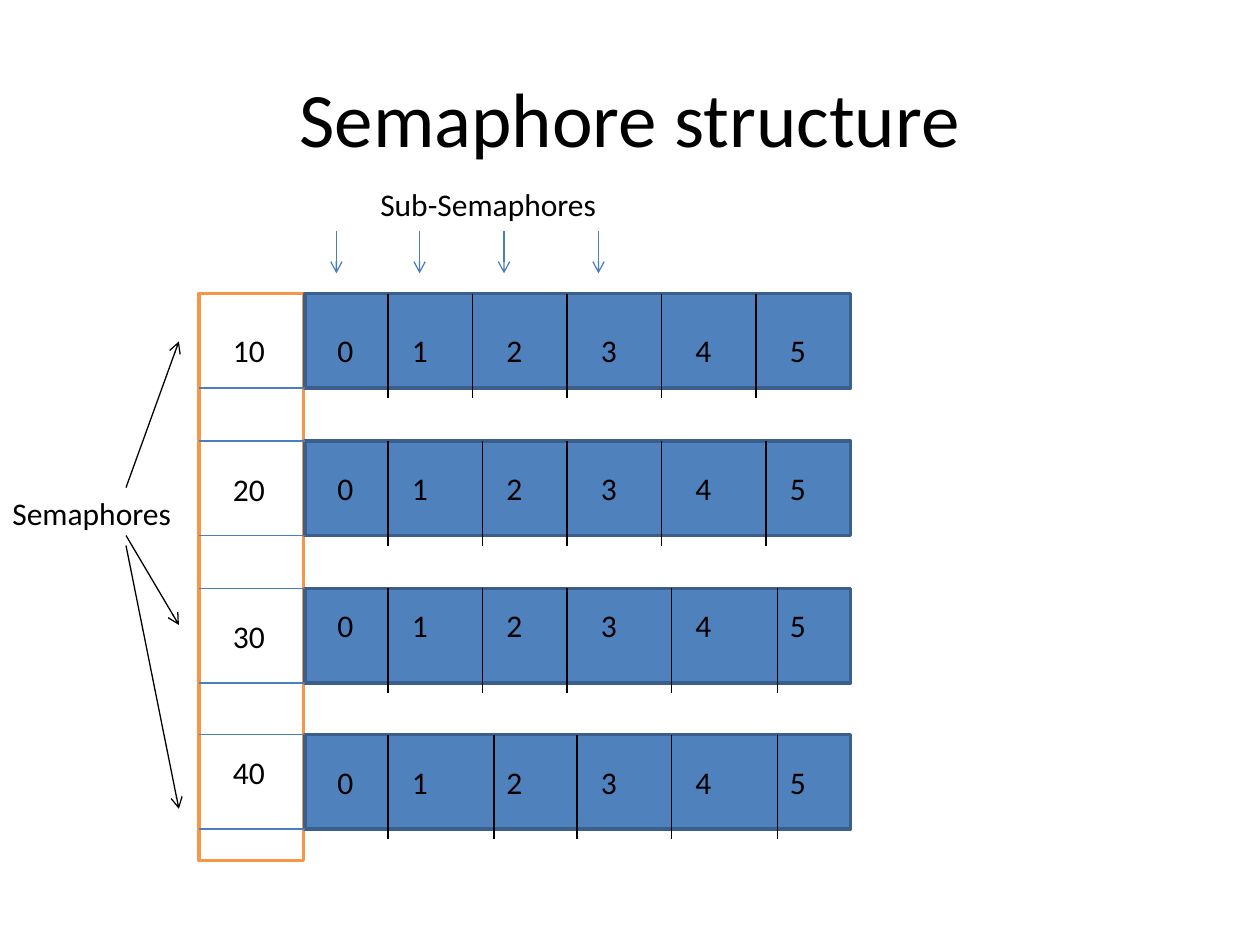
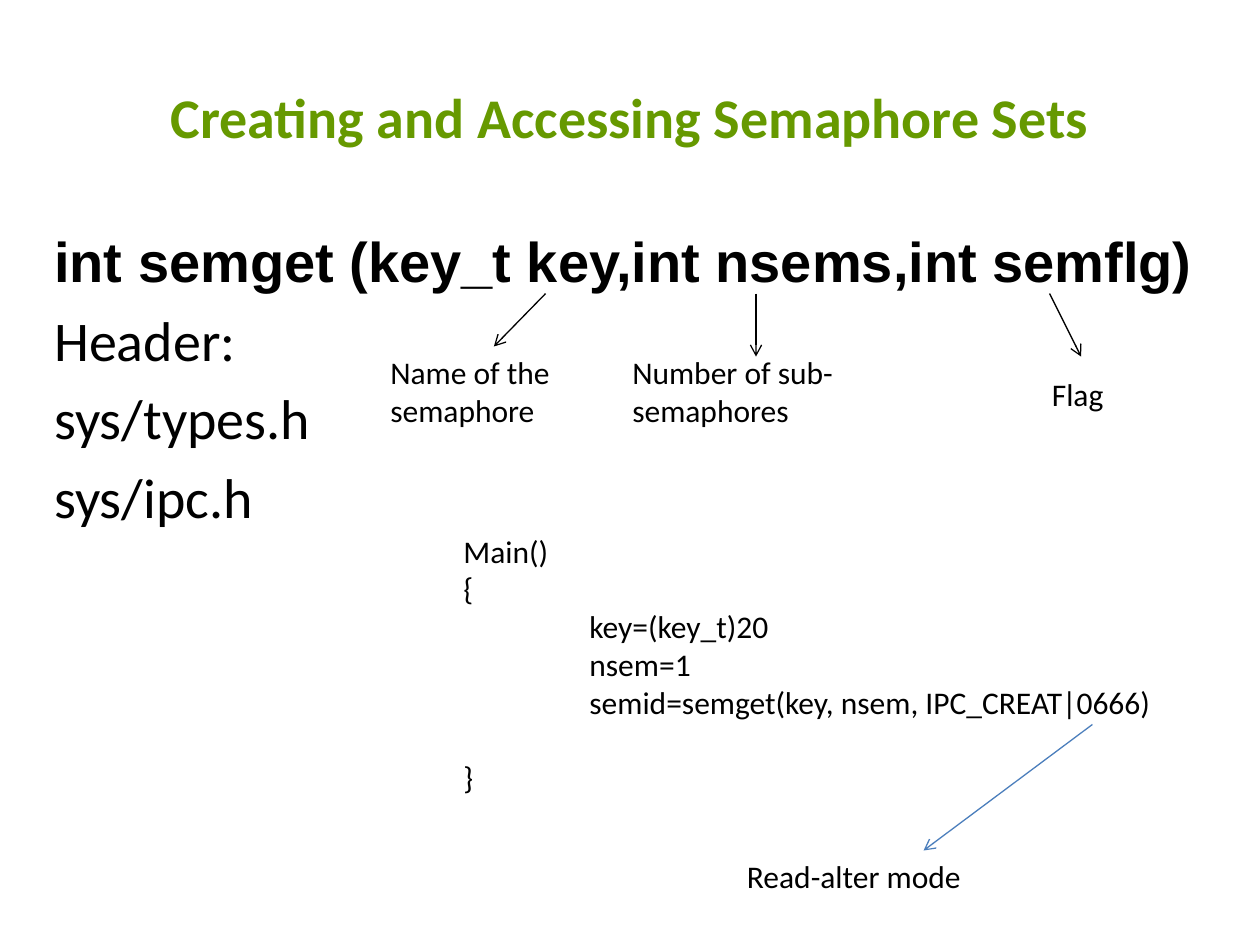
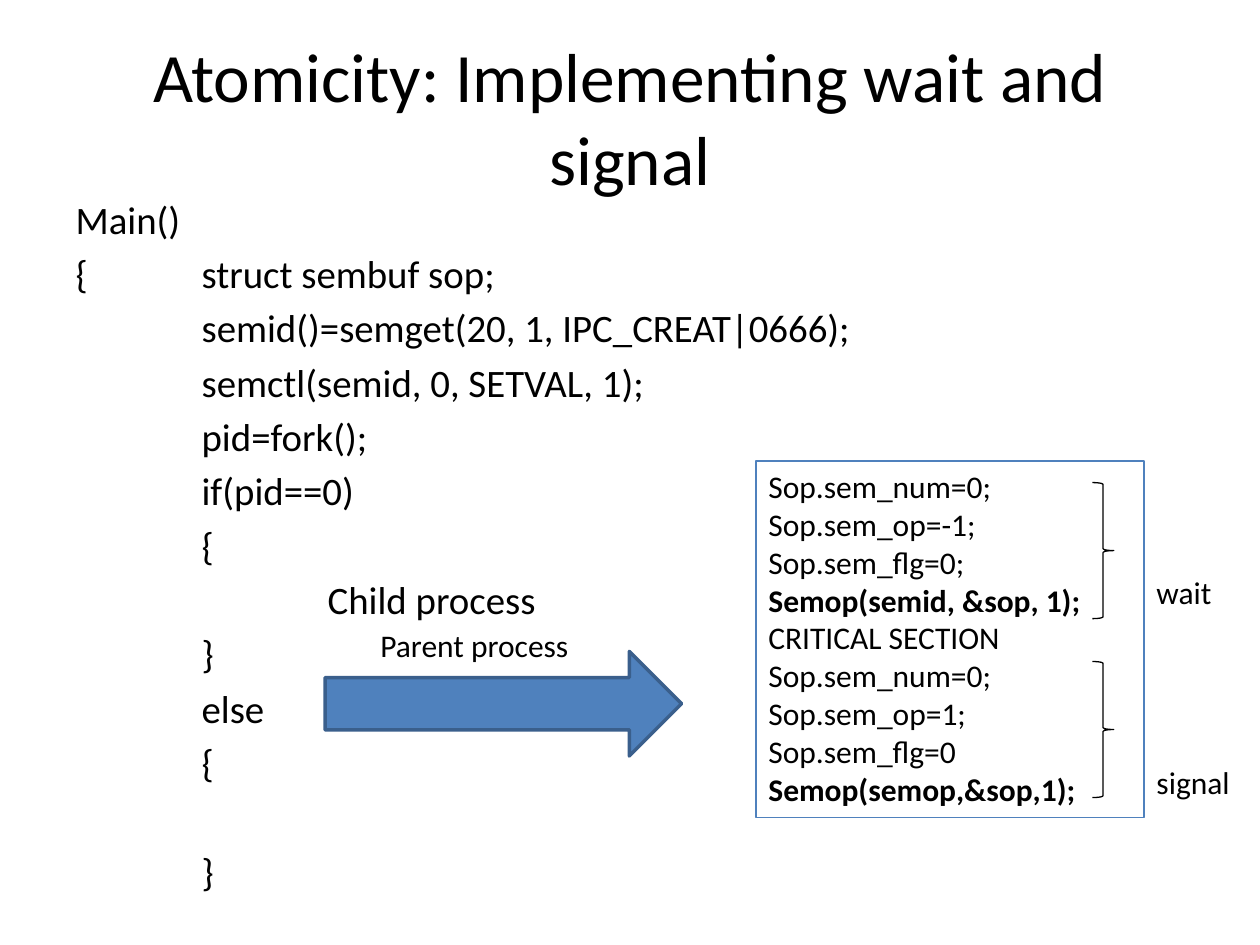
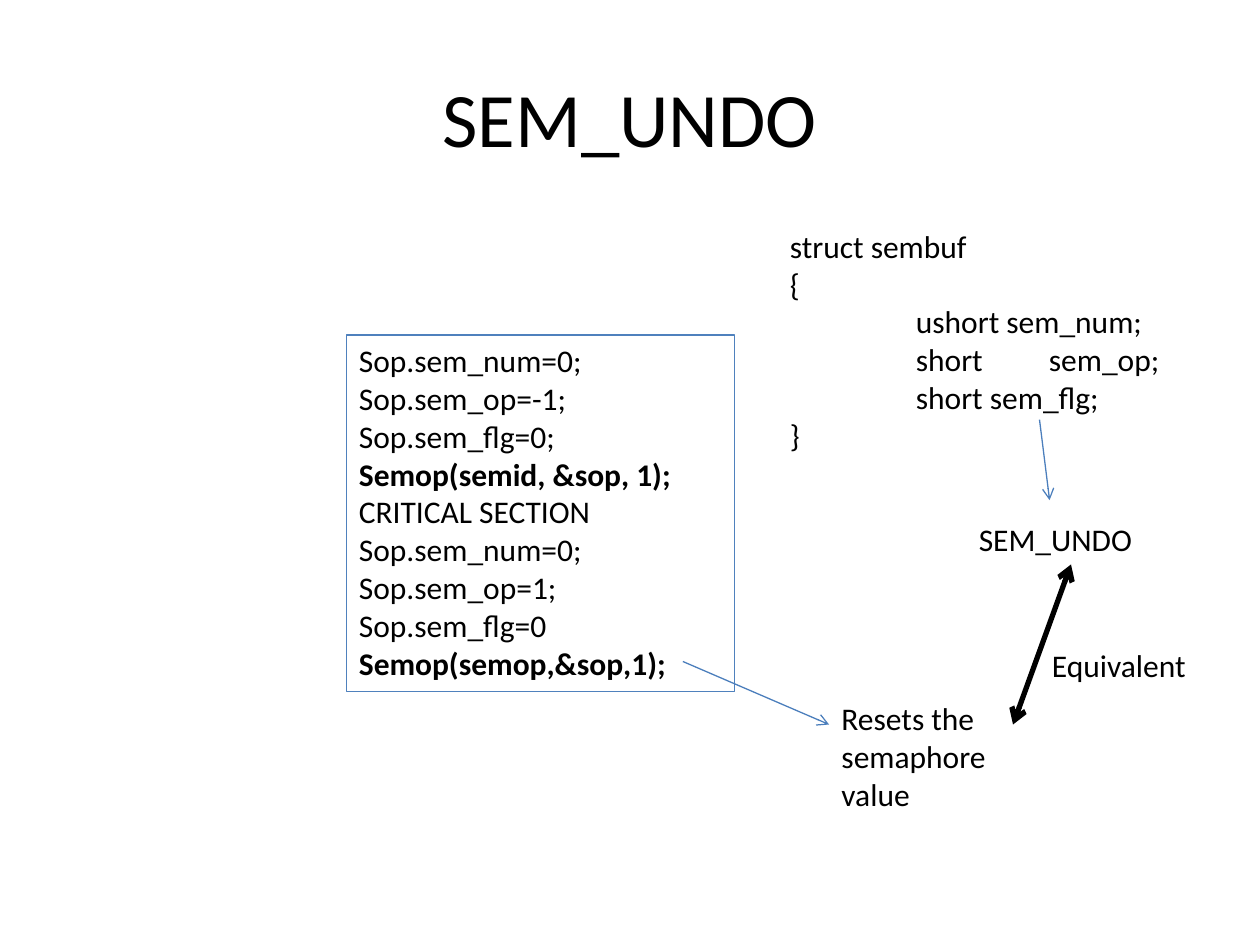
from lxml import etree
from pptx import Presentation
from pptx import util as u
from pptx.dml import color
from pptx.enum import shapes, text
from pptx.oxml import ns

BLACK, BLUE, DARK_BLUE = "000000", "4F81BD", "3A5F8C"
LINE_BLUE, ORANGE, GREEN, WHITE = "4B7EBC", "F79646", "669900", "FFFFFF"
FONT = "Calibri"
TAB_WIDTH = str(u.Inches(1))
rgb = color.RGBColor.from_string


def add_text(slide, left, top, width, height, lines, bold=()):
    box = slide.shapes.add_textbox(u.Inches(left), u.Inches(top), u.Inches(width), u.Inches(height))
    frame = box.text_frame
    frame.word_wrap = True
    frame.text = lines
    for paragraph in frame.paragraphs:
        paragraph.font.name = FONT
        paragraph.font.size = u.Pt(18)
        paragraph.font.color.rgb = rgb(BLACK)
        paragraph.font.bold = paragraph.text in bold
        paragraph._p.get_or_add_pPr().set("defTabSz", TAB_WIDTH)
    return box


def add_line(slide, start, end, line_color=BLACK, width=0.75, ends=()):
    line = slide.shapes.add_connector(
        shapes.MSO_CONNECTOR.STRAIGHT, *(u.Inches(value) for value in (*start, *end)))
    line.line.color.rgb = rgb(line_color)
    line.line.width = u.Pt(width)
    properties = line._element.spPr
    for end_name in ends:
        etree.SubElement(properties.find(ns.qn("a:ln")), ns.qn(f"a:{end_name}"), type="arrow")
    etree.SubElement(properties, ns.qn("a:effectLst"))


ARROW = ("tailEnd",)
CRITICAL_CODE = "\n".join([
    "Sop.sem_num=0;", "Sop.sem_op=-1;", "Sop.sem_flg=0;", "Semop(semid, &sop, 1);",
    "CRITICAL SECTION",
    "Sop.sem_num=0;", "Sop.sem_op=1;", "Sop.sem_flg=0", "Semop(semop,&sop,1);"])
CRITICAL_CALLS = ("Semop(semid, &sop, 1);", "Semop(semop,&sop,1);")

presentation = Presentation()
presentation.slide_width = u.Inches(10)
presentation.slide_height = u.Inches(7.5)
CONTENT_LAYOUT, TITLE_LAYOUT = 1, 5

slides = []
for title, size, layout in [
        ("Semaphore structure", 44, TITLE_LAYOUT),
        ("Creating and Accessing Semaphore Sets", 32, CONTENT_LAYOUT),
        ("Atomicity: Implementing wait and signal", 39.6, CONTENT_LAYOUT),
        ("SEM_UNDO", 44, TITLE_LAYOUT)]:
    slide = presentation.slides.add_slide(presentation.slide_layouts[layout])
    heading = slide.shapes.title
    heading.left, heading.top = u.Inches(0.5), u.Inches(0.3)
    heading.width, heading.height = u.Inches(9), u.Inches(1.25)
    heading.text_frame.text = title
    heading.text_frame.auto_size = text.MSO_AUTO_SIZE.NONE
    paragraph = heading.text_frame.paragraphs[0]
    paragraph.font.name = FONT
    paragraph.font.size = u.Pt(size)
    paragraph.font.color.rgb = rgb(BLACK)
    slides.append(slide)
structure, creating, atomicity, undo = slides

for slide, left, top, width, size, gap, lines in [
        (creating, 0.33, 1.75, 9.42, 32, 6.4, [
            "int semget (key_t key,int nsems,int semflg)", "Header:", "sys/types.h", "sys/ipc.h"]),
        (atomicity, 0.5, 1.5, 9, 22.2, 4.4, [
            "Main()", "{\tstruct sembuf sop;", "\tsemid()=semget(20, 1, IPC_CREAT|0666);",
            "\tsemctl(semid, 0, SETVAL, 1);", "\tpid=fork();", "\tif(pid==0)", "\t{",
            "\t\tChild process", "\t}", "\telse", "\t{", "\t}"])]:
    body = slide.placeholders[1]
    body.left, body.top = u.Inches(left), u.Inches(top)
    body.width, body.height = u.Inches(width), u.Inches(4.95)
    body.text_frame.text = "\n".join(lines)
    body.text_frame.auto_size = text.MSO_AUTO_SIZE.NONE
    for paragraph in body.text_frame.paragraphs:
        paragraph.font.name = FONT
        paragraph.font.size = u.Pt(size)
        paragraph.font.color.rgb = rgb(BLACK)
        paragraph.space_before = u.Pt(gap)
        properties = paragraph._p.get_or_add_pPr()
        properties.set("marL", "0")
        properties.set("indent", "0")
        properties.set("defTabSz", TAB_WIDTH)
        properties.find(ns.qn("a:spcBef")).addnext(etree.Element(ns.qn("a:buNone")))

column_left, column_right, row_height = 1.58, 2.42, 0.75
row_tops = [2.33, 3.5, 4.67, 5.83]
blocks = [(column_left, row_tops[0], 0.83, 4.5, WHITE, ORANGE)]
blocks += [(column_right, top, 4.33, row_height, BLUE, DARK_BLUE) for top in row_tops]
for left, top, width, height, fill, outline in blocks:
    block = structure.shapes.add_shape(
        shapes.MSO_SHAPE.RECTANGLE, u.Inches(left), u.Inches(top), u.Inches(width), u.Inches(height))
    block.shadow.inherit = False
    block.fill.solid()
    block.fill.fore_color.rgb = rgb(fill)
    block.line.color.rgb = rgb(outline)
    block.line.width = u.Pt(2)

rows = [
    ("10", 2.58, 2.58, [3.08, 3.75, 4.5, 5.25, 6]),
    ("20", 3.68, 3.67, [3.08, 3.83, 4.5, 5.25, 6.08]),
    ("30", 4.85, 4.76, [3.08, 3.83, 4.5, 5.33, 6.17]),
    ("40", 5.93, 6.01, [3.08, 3.92, 4.58, 5.33, 6.17])]
for top, (key, key_top, number_top, dividers) in zip(row_tops, rows):
    edges = [top + row_height] if top == row_tops[0] else [top, top + row_height]
    for edge in edges:
        add_line(structure, (column_left, edge), (column_right, edge), LINE_BLUE)
    add_text(structure, 1.75, key_top, 0.67, 0.4, key)
    for x in dividers:
        add_line(structure, (x, top), (x, top + 0.83))
    for number in range(6):
        left = 2.42 + 0.75 * number if number else 2.58
        add_text(structure, left, number_top, 0.5, 0.4, str(number))

add_text(structure, 0, 3.87, 1.58, 0.4, "Semaphores")
for start_y, end_y in [(3.87, 2.71), (4.25, 4.96), (4.33, 6.42)]:
    add_line(structure, (1, start_y), (1.42, end_y), ends=ARROW)
add_text(structure, 2.92, 1.42, 4, 0.4, "Sub-Semaphores")
for x in [2.67, 3.33, 4, 4.75]:
    add_line(structure, (x, 1.83), (x, 2.17), LINE_BLUE, ends=ARROW)

heading = creating.shapes.title
heading.top, heading.height = u.Inches(0.61), u.Inches(0.63)
heading_font = heading.text_frame.paragraphs[0].font
heading_font.bold = True
heading_font.color.rgb = rgb(GREEN)
signature = creating.placeholders[1].text_frame.paragraphs[0]
signature.font.name = "Arial"
signature.font.bold = True

main_code = add_text(
    creating, 3.58, 4.17, 6.17, 2.22,
    "Main()\n{\n\tkey=(key_t)20\n\tnsem=1\n\tsemid=semget(key, nsem, IPC_CREAT|0666)\n}")
main_code.text_frame.paragraphs[-1].space_before = u.Pt(21.6)
for left, top, width, height, label in [
        (3, 2.75, 2.17, 0.71, "Name of the semaphore"),
        (4.92, 2.75, 2.17, 0.71, "Number of sub-semaphores"),
        (8.25, 2.93, 0.83, 0.4, "Flag"),
        (5.83, 6.75, 3.25, 0.4, "Read-alter mode")]:
    add_text(creating, left, top, width, height, label)
for start, end in [((4.33, 2.33), (3.92, 2.75)), ((6, 2.33), (6, 2.83)), ((8.33, 2.33), (8.58, 2.83))]:
    add_line(creating, start, end, ends=ARROW)
add_line(creating, (8.67, 5.75), (7.33, 6.75), LINE_BLUE, ends=ARROW)

atomicity.placeholders[1].text_frame.paragraphs[-1].space_before = u.Pt(35.9)
for slide, left, top in [(atomicity, 6, 3.66), (undo, 2.75, 2.66)]:
    code_box = add_text(slide, left, top, 3.08, 2.83, CRITICAL_CODE, CRITICAL_CALLS)
    code_box.line.color.rgb = rgb(BLUE)
    code_box.line.width = u.Pt(0.75)

arrow = atomicity.shapes.add_shape(
    shapes.MSO_SHAPE.RIGHT_ARROW, u.Inches(2.58), u.Inches(5.17), u.Inches(2.83), u.Inches(0.83))
arrow.shadow.inherit = False
arrow.fill.solid()
arrow.fill.fore_color.rgb = rgb(BLUE)
arrow.line.color.rgb = rgb(DARK_BLUE)
arrow.line.width = u.Pt(2)
add_text(atomicity, 2.92, 4.92, 2.08, 0.4, "Parent process")
for label, label_top, brace_top in [("wait", 4.5, 3.83), ("signal", 6.01, 5.25)]:
    add_text(atomicity, 9.08, label_top, 0.92, 0.4, label)
    brace = atomicity.shapes.add_shape(
        shapes.MSO_SHAPE.RIGHT_BRACE, u.Inches(8.67), u.Inches(brace_top), u.Inches(0.17), u.Inches(1.08))
    brace.shadow.inherit = False
    brace.fill.background()
    brace.line.color.rgb = rgb(BLACK)
    brace.line.width = u.Pt(0.75)

add_text(undo, 6.58, 5.5, 1.75, 1.31, "Resets the semaphore value")
add_text(undo, 6.17, 1.75, 3.75, 2.22,
         "struct sembuf\n{\n\tushort sem_num;\n\tshort\t sem_op;\n\tshort sem_flg;\n}")
add_text(undo, 7.67, 4.08, 1.67, 0.4, "SEM_UNDO")
add_text(undo, 8.25, 5.08, 1.75, 0.4, "Equivalent")
add_line(undo, (5.42, 5.25), (6.58, 5.75), LINE_BLUE, ends=ARROW)
add_line(undo, (8.25, 3.33), (8.33, 3.97), LINE_BLUE, ends=ARROW)
add_line(undo, (8.5, 4.48), (8.04, 5.75), width=3, ends=("headEnd", "tailEnd"))

presentation.save("out.pptx")
